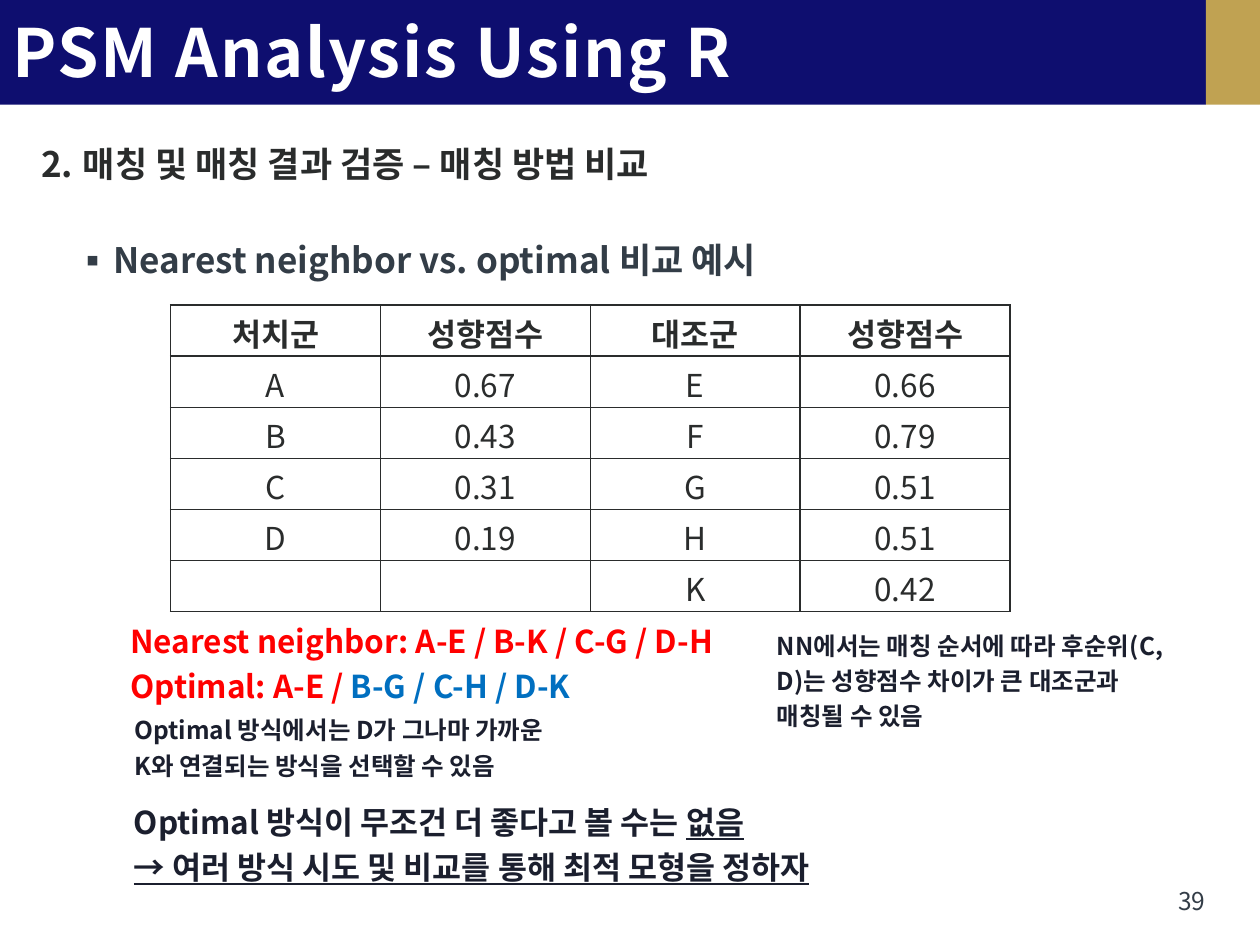
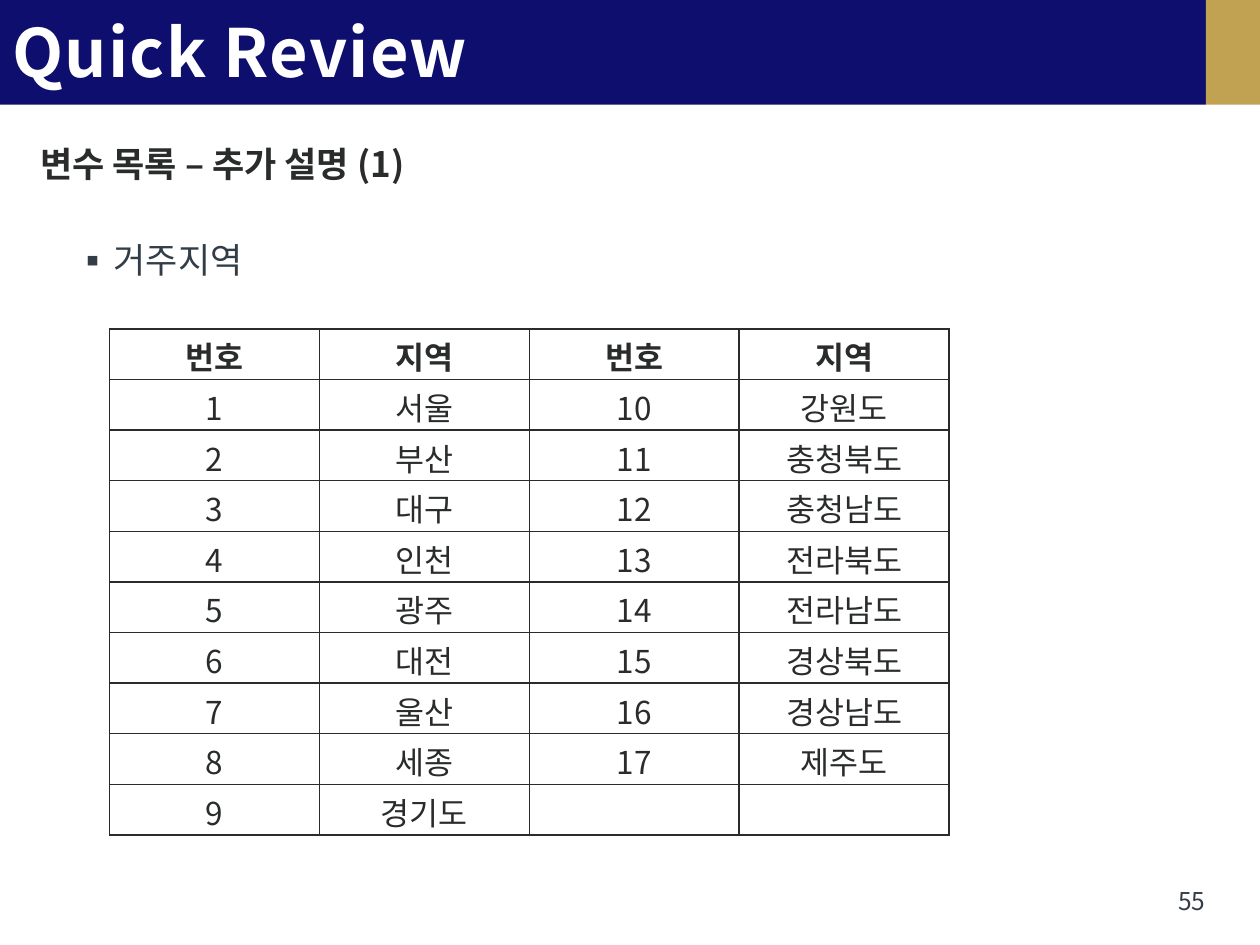
from lxml import etree
from pptx import Presentation
from pptx import util as u
from pptx.dml.color import RGBColor
from pptx.enum import shapes, text
from pptx.oxml.ns import qn

FONT = "Noto Sans CJK KR"
NAVY, GOLD, WHITE = "0E0E6F", "C0A252", "FFFFFF"
DARK, SLATE, INK = "2A2C2C", "333D47", "1B1F2E"
RED, BLUE = "FF0000", "006FC0"
WIDE, BAND, BAR = 25.4, 2.11, 24.31


def rgb(code):
    return RGBColor.from_string(code)


def add_run(para, words, size, color, bold=True, line=False, gap=None):
    run = para.add_run()
    run.text = words
    font = run.font
    font.size, font.bold = u.Pt(size), bold
    font.color.rgb = rgb(color)
    font.name = FONT
    if line:
        font.underline = True
    props = run._r.get_or_add_rPr()
    etree.SubElement(props, qn("a:ea"), typeface=FONT)
    if gap:
        props.set("spc", str(gap))


def set_para(para, before=0, lead=1, left=0, hang=0, mark=None):
    """Spacing, indent and bullet; mark is a tag with its attributes."""
    props = para._p.get_or_add_pPr()
    props.set("marL", str(u.Cm(left)))
    props.set("indent", str(u.Cm(-hang)))
    tag, attrs = mark or ("a:buNone", {})
    if mark:
        etree.SubElement(props, qn("a:buFont"), typeface=FONT)
    etree.SubElement(props, qn(tag), **attrs)
    para.alignment = text.PP_ALIGN.LEFT
    para.space_before = u.Pt(before)
    para.line_spacing = lead


def set_frame(shape, box, top=0.03):
    shape.left, shape.top, shape.width, shape.height = map(u.Cm, box)
    frame = shape.text_frame
    frame.word_wrap = True
    frame.auto_size = text.MSO_AUTO_SIZE.NONE
    frame.vertical_anchor = text.MSO_ANCHOR.TOP
    frame.margin_left = frame.margin_right = frame.margin_bottom = 0
    frame.margin_top = u.Cm(top)
    return frame


def add_note(slide, box, paras, top=0.03):
    """Text box; each paragraph is (layout options, runs)."""
    shape = slide.shapes.add_textbox(*map(u.Cm, box))
    frame = set_frame(shape, box, top)
    for i, (opts, runs) in enumerate(paras):
        para = frame.add_paragraph() if i else frame.paragraphs[0]
        set_para(para, **opts)
        for run in runs:
            add_run(para, *run)


def add_bands(slide, layout):
    """Header bands, kept on the layout behind all else."""
    spans = [(0, BAR, NAVY), (BAR, WIDE - BAR, GOLD)]
    for i, (left, width, color) in enumerate(spans):
        band = slide.shapes.add_shape(
            shapes.MSO_SHAPE.RECTANGLE, u.Cm(left), 0, u.Cm(width), u.Cm(BAND))
        band.shadow.inherit = False
        band.fill.solid()
        band.fill.fore_color.rgb = rgb(color)
        band.line.fill.background()
        layout.shapes._spTree.insert(2 + i, band._element)


def add_frame(slide, title, page, gap):
    """Title and page number."""
    frame = set_frame(slide.shapes.title, (0.25, 0.2, 22.68, 1.68))
    para = frame.paragraphs[0]
    set_para(para)
    add_run(para, title, 38, WHITE, gap=gap)
    add_note(slide, (23.65, 17.78, 0.79, 0.74),
             [({"left": 0.1}, [(str(page), 14, SLATE, False)])], 0.08)


def add_list(slide, head, item, start=None, bold=True):
    """Section heading with one bullet below it."""
    frame = set_frame(slide.placeholders[1], (0.81, 2.84, 20, 3.2))
    para = frame.paragraphs[0]
    if start:
        number = ("a:buAutoNum", {"type": "arabicPeriod", "startAt": str(start)})
        set_para(para, left=0.86, hang=0.84, mark=number)
    else:
        set_para(para)
    add_run(para, head, 20, DARK)
    para = frame.add_paragraph()
    set_para(para, 31, left=1.48, hang=0.76, mark=("a:buChar", {"char": "▪"}))
    add_run(para, item, 20, SLATE, bold)


def set_border(cell):
    props = cell._tc.get_or_add_tcPr()
    for side in ("L", "R", "T", "B"):
        line = etree.SubElement(props, qn("a:ln" + side), w=str(u.Pt(0.96)))
        fill = etree.SubElement(line, qn("a:solidFill"))
        etree.SubElement(fill, qn("a:srgbClr"), val=DARK)


def add_grid(slide, left, top, high, rows, wide=4.23):
    """Ruled table with a bold first row."""
    count = len(rows[0])
    table = slide.shapes.add_table(
        len(rows), count, u.Cm(left), u.Cm(top),
        u.Cm(wide * count), u.Cm(high * len(rows))).table
    table.first_row = table.horz_banding = False
    for col in table.columns:
        col.width = u.Cm(wide)
    for r, row in enumerate(rows):
        table.rows[r].height = u.Cm(high)
        for c, words in enumerate(row):
            cell = table.cell(r, c)
            set_border(cell)
            cell.fill.background()
            cell.margin_left = cell.margin_right = cell.margin_bottom = 0
            # Small enough for a line of text to fit the row height
            cell.margin_top = u.Cm(0.09)
            if words:
                para = cell.text_frame.paragraphs[0]
                para.alignment = text.PP_ALIGN.CENTER
                add_run(para, words, 18, DARK, r == 0)


def fill_match(slide):
    add_frame(slide, "PSM Analysis Using R", 39, 95)
    add_list(slide, "매칭 및 매칭 결과 검증 – 매칭 방법 비교",
             "Nearest neighbor vs. optimal 비교 예시", start=2)
    add_grid(slide, 3.44, 6.15, 1.03, [
        ("처치군", "성향점수", "대조군", "성향점수"),
        ("A", "0.67", "E", "0.66"),
        ("B", "0.43", "F", "0.79"),
        ("C", "0.31", "G", "0.51"),
        ("D", "0.19", "H", "0.51"),
        ("", "", "K", "0.42")])
    # Matched pairs
    add_note(slide, (2.63, 12.36, 12.45, 3.4), [
        ({"lead": 1.2}, [
            ("Nearest neighbor: A-E / B-K / C-G / D-H ", 18, RED),
            ("Optimal: A-E / ", 18, RED),
            ("B-G / C-H / D-K", 18, BLUE)]),
        ({"before": 5.8, "left": 0.08},
         [("Optimal 방식에서는 D가 그나마 가까운", 14, INK)]),
        ({"before": 3.4, "left": 0.08},
         [("K와 연결되는 방식을 선택할 수 있음", 14, INK)])])
    # Remark on matching order
    add_note(slide, (15.66, 12.57, 7.85, 2.21), [({"lead": 1.2}, [
        ("NN에서는 매칭 순서에 따라 후순위(C, D)는 성향점수 차이가 "
         "큰 대조군과 매칭될 수 있음", 14, INK)])])
    # Conclusion
    add_note(slide, (2.7, 16, 15.44, 1.9), [
        ({}, [("Optimal 방식이 무조건 더 좋다고 볼 수는 ", 18, INK),
              ("없음", 18, INK, True, True)]),
        ({"before": 4.3},
         [("→ 여러 방식 시도 및 비교를 통해 최적 모형을 정하자",
           18, INK, True, True)])], 0.18)


def fill_review(slide):
    add_frame(slide, "Quick Review", 55, 70)
    add_list(slide, "변수 목록 – 추가 설명 (1)", "거주지역", bold=False)
    areas = ("서울 부산 대구 인천 광주 대전 울산 세종 경기도 강원도 충청북도 "
             "충청남도 전라북도 전라남도 경상북도 경상남도 제주도").split()
    pairs = [(str(i), area) for i, area in enumerate(areas, 1)]
    half = 9
    right = pairs[half:] + [("", "")]
    rows = [a + b for a, b in zip(pairs[:half], right)]
    add_grid(slide, 2.21, 6.63, 1.02, [("번호", "지역") * 2] + rows)


def main():
    prs = Presentation()
    prs.slide_width, prs.slide_height = u.Cm(WIDE), u.Cm(19.05)
    layout = prs.slide_layouts[1]
    first, second = (prs.slides.add_slide(layout) for _ in range(2))
    add_bands(first, layout)
    fill_match(first)
    fill_review(second)
    prs.save("out.pptx")


if __name__ == "__main__":
    main()
